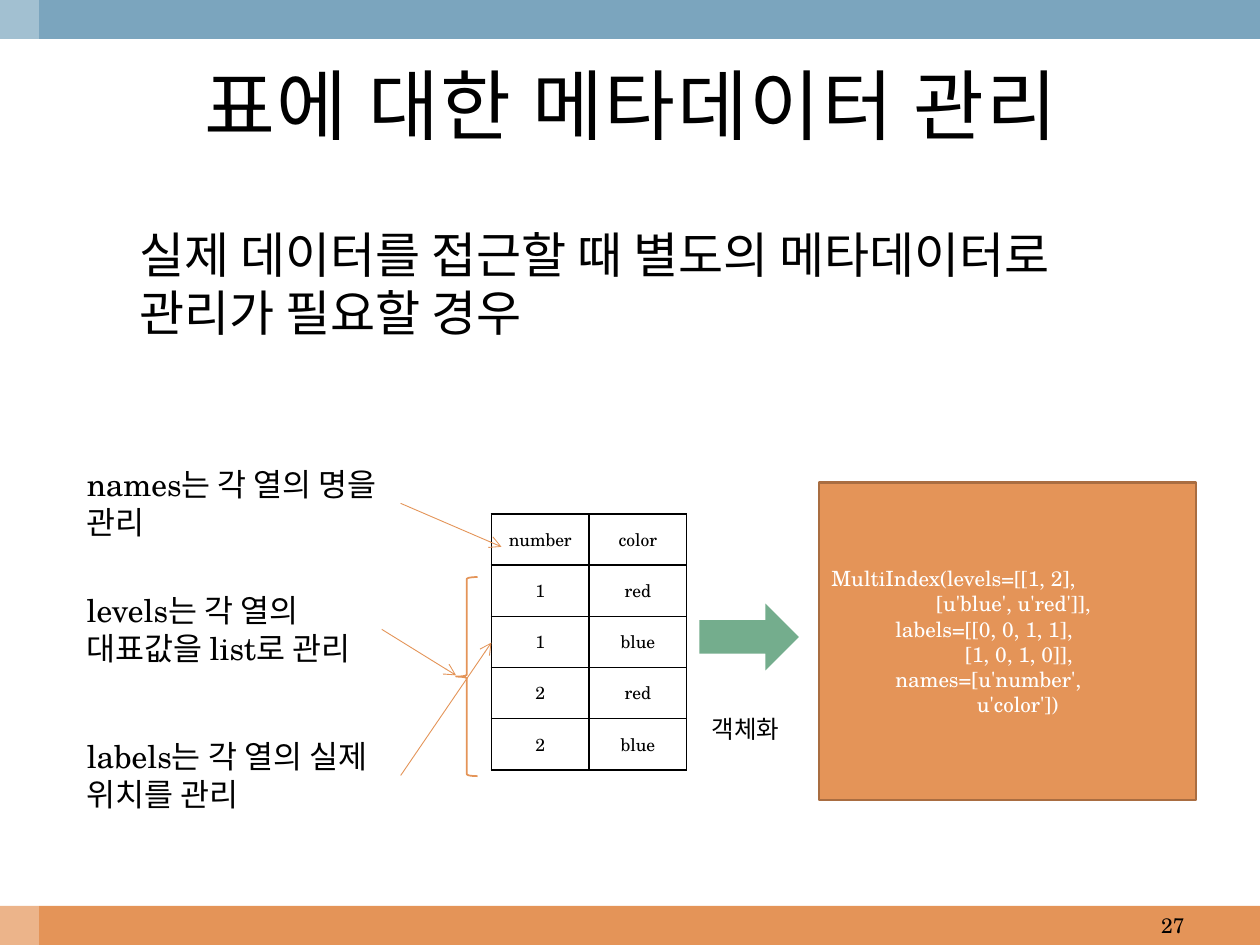
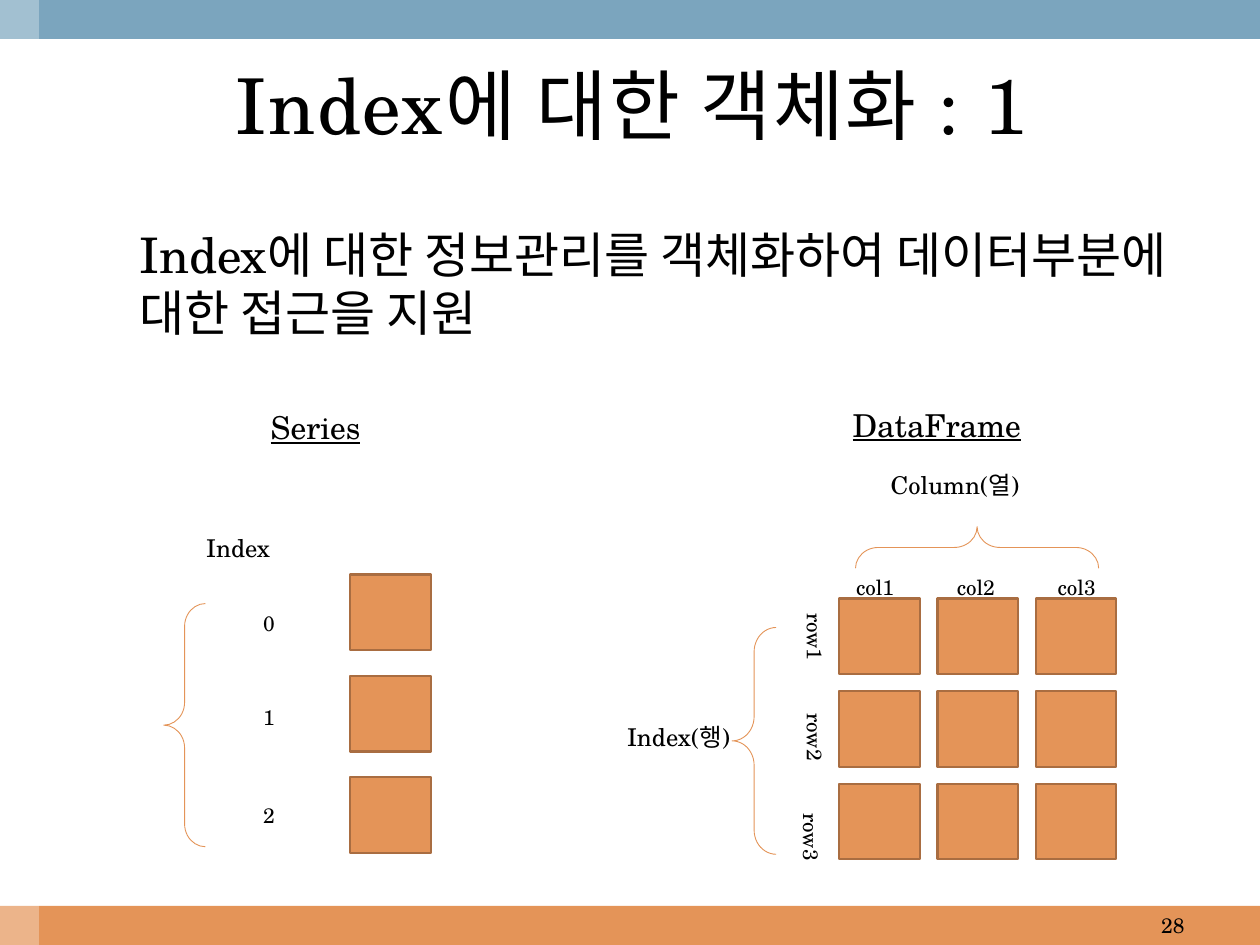
from dataclasses import dataclass
from itertools import product
from typing import NamedTuple, Optional

from lxml.etree import SubElement
from pptx import Presentation
from pptx.dml.color import RGBColor
from pptx.enum.shapes import MSO_CONNECTOR, MSO_SHAPE as Shape
from pptx.enum.text import MSO_ANCHOR as Anchor, MSO_AUTO_SIZE as AutoSize, PP_ALIGN as Align
from pptx.oxml import parse_xml
from pptx.oxml.ns import nsdecls, qn
from pptx.util import Inches, Pt

COLS, ROWS = 100, 75  # the slide's layout grid
UNIT = Inches(10) // COLS
BAND = 3.1


@dataclass(frozen=True)
class Theme:
    font: str = "TeX Gyre Schola"
    ink: str = "000000"
    paper: str = "FFFFFF"
    orange: str = "E49458"
    brown: str = "A96D41"
    blue: str = "7BA5BE"
    green: str = "74AD8D"
    title: int = 44
    lead: int = 28
    head: int = 18
    label: int = 14
    small: int = 12
    cell: int = 10


THEME = Theme()


class Box(NamedTuple):
    """Place and size in columns and rows of the layout grid."""
    left: float
    top: float
    width: float
    height: float

    def emu(self) -> tuple:
        return tuple(grid(n) for n in self)


class Tiles(NamedTuple):
    left: float
    top: float
    columns: int
    rows: int
    col_step: float
    row_step: float


@dataclass(frozen=True)
class Label:
    text: str
    box: Box
    size: int
    align: Align = Align.LEFT
    underline: bool = False
    vertical: bool = False


@dataclass(frozen=True)
class Brace:
    box: Box
    rotation: int


TITLE = Box(3.3, 3.1, 93.6, 10.3)
LEAD = Box(5.1, 17.3, 90, 10)
PAGE = Box(71.7, 71.9, 23.3, BAND)
TILE_W, TILE_H = 6.4, 6

NOTES = [
    Label("names는 각 열의 명을 관리", Box(5.9, 36.4, 25.9, 7.1), THEME.head),
    Label("levels는 각 열의 대표값을 list로 관리", Box(5.9, 46.4, 24.4, 7.1), THEME.head),
    Label("labels는 각 열의 실제 위치를 관리", Box(5.9, 58, 25.9, 7.1), THEME.head),
]
NOTE_TARGETS = [(39.8, 43.4), (36.2, 53.6), (39, 51)]
RECORDS = [("number", "color"), ("1", "red"), ("1", "blue"), ("2", "red"), ("2", "blue")]
CODE = """MultiIndex(levels=[[1, 2],
                  [u'blue', u'red']],
           labels=[[0, 0, 1, 1],
                       [1, 0, 1, 0]],
           names=[u'number',
                         u'color'])"""

SERIES_TILES = Tiles(27.8, 45.6, 1, 3, 0, 8.05)
SERIES_LABELS = [
    Label("Series", Box(9.6, 31.9, 30.9, 4), THEME.head, Align.CENTER, underline=True),
    Label("Index", Box(12.5, 41.8, 12.8, 3.4), THEME.label, Align.CENTER),
    *(Label(str(i), Box(17.8, top, 7.1, 3), THEME.small, Align.CENTER)
      for i, top in enumerate((48, 55.4, 63.2))),
]
SERIES_BRACES = [Brace(Box(13, 47.9, 3.3, 19.3), 180)]

FRAME_TILES = Tiles(66.6, 47.5, 3, 3, 7.8, 7.35)
FRAME_LABELS = [
    Label("DataFrame", Box(58.9, 31.7, 30.9, 4), THEME.head, Align.CENTER, underline=True),
    Label("Index(행)", Box(45.9, 56.8, 15.9, 3.4), THEME.label, Align.CENTER),
    Label("Column(열)", Box(69.7, 36.8, 19, 3.4), THEME.label),
    *(Label(f"col{i + 1}", Box(65.9 + 8 * i, 45.1, 7.1, 2.6), THEME.small, Align.CENTER)
      for i in range(3)),
    *(Label(f"row{i + 1}", Box(left, 47.7 + 7.95 * i, 3.6, 4.3), THEME.small, vertical=True)
      for i, left in enumerate((62.6, 62.6, 62.3))),
]
FRAME_BRACES = [Brace(Box(58.1, 49.8, 3.5, 18), 180), Brace(Box(75.9, 33.8, 3.3, 19.3), 270)]


def grid(n: float) -> int:
    return round(n * UNIT)


def rgb(color: str) -> RGBColor:
    return RGBColor.from_string(color)


def style_text(tf, size: int, color: str = THEME.ink, align: Align = Align.LEFT,
               underline: Optional[bool] = None) -> None:
    for p in tf.paragraphs:
        p.alignment = align
        for r in p.runs:
            r.font.name, r.font.size = THEME.font, Pt(size)
            r.font.color.rgb = rgb(color)
            r.font.underline = underline


def add_label(shapes, label: Label):
    sp = shapes.add_textbox(*label.box.emu())
    tf = sp.text_frame
    tf.word_wrap = not label.vertical
    tf.auto_size = AutoSize.SHAPE_TO_FIT_TEXT
    tf.text = label.text
    style_text(tf, label.size, align=label.align, underline=label.underline or None)
    if label.vertical:
        sp.element.txBody.find(qn("a:bodyPr")).set("vert", "eaVert")
    return sp


def add_figure(shapes, kind: Shape, box: Box, fill: Optional[str] = None,
               line: Optional[str] = None, width: float = 1.25):
    sp = shapes.add_shape(kind, *box.emu())
    sp.shadow.inherit = False
    if fill:
        sp.fill.solid()
        sp.fill.fore_color.rgb = rgb(fill)
    else:
        sp.fill.background()
    if line:
        sp.line.color.rgb = rgb(line)
        sp.line.width = Pt(width)
    else:
        sp.line.fill.background()
    return sp


def add_brace(shapes, brace: Brace) -> None:
    sp = add_figure(shapes, Shape.RIGHT_BRACE, brace.box, line=THEME.orange, width=0.5)
    sp.adjustments[0], sp.adjustments[1] = 0.55, 0.5
    sp.rotation = brace.rotation


def add_tiles(shapes, tiles: Tiles) -> None:
    for row, col in product(range(tiles.rows), range(tiles.columns)):
        box = Box(tiles.left + col * tiles.col_step, tiles.top + row * tiles.row_step,
                  TILE_W, TILE_H)
        add_figure(shapes, Shape.RECTANGLE, box, THEME.orange, THEME.brown)


def add_diagram(shapes, tiles: Tiles, labels: list, braces: list) -> None:
    add_tiles(shapes, tiles)
    for brace in braces:
        add_brace(shapes, brace)
    for label in labels:
        add_label(shapes, label)


def add_pointer(s, note, target: tuple) -> None:
    """Draw an arrow from the right side of a note to a grid point."""
    x, y = (grid(n) for n in target)
    line = s.shapes.add_connector(MSO_CONNECTOR.STRAIGHT, x, y, x, y)
    line.begin_connect(note, 3)
    line.line.color.rgb = rgb(THEME.orange)
    line.line.width = Pt(0.5)
    props = line.element.spPr
    SubElement(props.find(qn("a:ln")), qn("a:tailEnd"), type="arrow")
    SubElement(props, qn("a:effectLst"))


def add_border(cell) -> None:
    props = cell._tc.get_or_add_tcPr()
    for i, side in enumerate(("lnL", "lnR", "lnT", "lnB")):
        props.insert(i, parse_xml(
            f'<a:{side} {nsdecls("a")} w="{Pt(1)}"><a:solidFill>'
            f'<a:srgbClr val="{THEME.ink}"/></a:solidFill></a:{side}>'))


def add_records(s, box: Box) -> None:
    table = s.shapes.add_table(len(RECORDS), len(RECORDS[0]), *box.emu()).table
    table.first_row = table.horz_banding = False
    for row, values in enumerate(RECORDS):
        for col, value in enumerate(values):
            cell = table.cell(row, col)
            cell.text = value
            cell.vertical_anchor = Anchor.MIDDLE
            cell.fill.background()
            add_border(cell)
            style_text(cell.text_frame, THEME.cell, align=Align.CENTER)


def add_bands(prs, s) -> None:
    """Draw the bands and move them to the master, behind its placeholders."""
    tree = prs.slide_master.placeholders[0].element.getparent()
    bands = [(Box(0, ROWS - BAND, COLS, BAND), THEME.orange),
             (Box(0, 0, COLS, BAND), THEME.blue),
             (Box(0, 0, BAND, ROWS), THEME.paper)]
    for i, (box, color) in enumerate(bands):
        sp = add_figure(s.shapes, Shape.RECTANGLE, box, color)
        if color == THEME.paper:
            clr = sp.element.spPr.find(f"{qn('a:solidFill')}/{qn('a:srgbClr')}")
            SubElement(clr, qn("a:alpha"), val="30000")
        tree.insert(2 + i, sp.element)


def add_slide(prs, title: str, lead: str, page: int):
    s = prs.slides.add_slide(prs.slide_layouts[5])
    head = s.shapes.title
    head.left, head.top, head.width, head.height = TITLE.emu()
    tf = head.text_frame
    tf.text = title
    tf.auto_size, tf.vertical_anchor = AutoSize.NONE, Anchor.MIDDLE
    style_text(tf, THEME.title, align=Align.CENTER)
    tf.paragraphs[0].runs[0].font._element.set("spc", "100")

    body = add_label(s.shapes, Label(lead, LEAD, THEME.lead))
    body.text_frame.auto_size = AutoSize.NONE
    body.text_frame.paragraphs[0]._p.get_or_add_pPr().set("marL", str(grid(5)))

    number = add_label(s.shapes, Label(str(page), PAGE, THEME.small, Align.RIGHT))
    number.text_frame.auto_size = AutoSize.NONE
    number.text_frame.vertical_anchor = Anchor.MIDDLE
    return s


def build_metadata(prs) -> None:
    s = add_slide(prs, "표에 대한 메타데이터 관리",
                  "실제 데이터를 접근할 때 별도의 메타데이터로 관리가 필요할 경우", 27)
    add_bands(prs, s)
    code = add_figure(s.shapes, Shape.RECTANGLE, Box(65, 38.3, 29.9, 25.2),
                      THEME.orange, THEME.brown)
    code.text_frame.text = CODE
    code.text_frame.vertical_anchor = Anchor.MIDDLE
    style_text(code.text_frame, THEME.small, THEME.paper)

    add_records(s, Box(39, 40.8, 15.5, 20.3))
    add_figure(s.shapes, Shape.LEFT_BRACE, Box(36.2, 45.8, 1.7, 15.8),
               line=THEME.orange, width=1)
    for label, target in zip(NOTES, NOTE_TARGETS):
        add_pointer(s, add_label(s.shapes, label), target)
    add_figure(s.shapes, Shape.RIGHT_ARROW, Box(55.5, 47.9, 7.9, 5.3), THEME.green)
    add_label(s.shapes, Label("객체화", Box(55.5, 56.2, 9.4, 3.4), THEME.label))


def build_index(prs) -> None:
    s = add_slide(prs, "Index에 대한 객체화 : 1",
                  "Index에 대한 정보관리를 객체화하여 데이터부분에 대한 접근을 지원", 28)
    add_diagram(s.shapes, SERIES_TILES, SERIES_LABELS, SERIES_BRACES)
    add_diagram(s.shapes.add_group_shape().shapes, FRAME_TILES, FRAME_LABELS, FRAME_BRACES)


def main() -> None:
    prs = Presentation()
    prs.slide_width, prs.slide_height = grid(COLS), grid(ROWS)
    build_metadata(prs)
    build_index(prs)
    prs.save("out.pptx")


if __name__ == "__main__":
    main()
